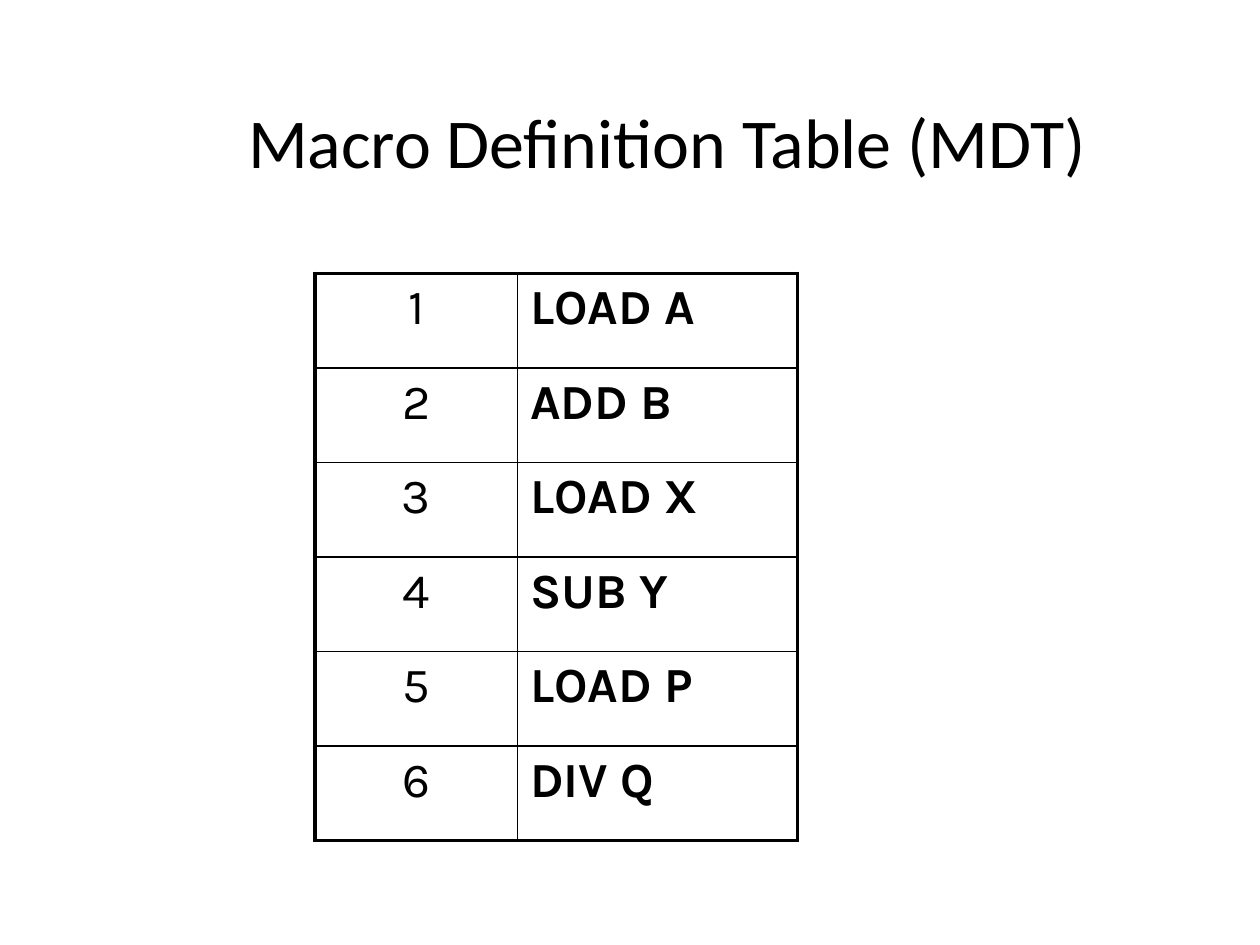
from dataclasses import dataclass

from lxml import etree
from pptx import Presentation
from pptx import util as u
from pptx.dml.color import RGBColor
from pptx.enum import text
from pptx.oxml import ns


@dataclass(frozen=True)
class Theme:
    ink: str = "000000"
    title_font: str = "Calibri"
    table_font: str = "Karla"
    title_size: float = 40
    table_size: float = 28
    space_before: float = 5.6
    outer_line: float = 2.21
    inner_line: float = 0.96


@dataclass(frozen=True)
class Area:
    left: float
    top: float
    width: float
    height: float


THEME = Theme()
SLIDE_WIDTH, SLIDE_HEIGHT = u.Inches(10), u.Inches(7.5)
INSTRUCTIONS = ["LOAD A", "ADD B", "LOAD X", "SUB Y", "LOAD P", "DIV Q"]

# Areas in inches; column widths as shares of the table
TITLE_AREA = Area(1.17, 0.33, 8.25, 1.57)
TABLE_AREA = Area(2.5, 2.17, 3.83, 4.5)
COLUMN_SHARES = (0.42, 0.58)


def place(area: Area) -> tuple:
    return tuple(map(u.Inches, (area.left, area.top, area.width, area.height)))


def style(para, font: str, size: float, align, bold: bool = False) -> None:
    para.alignment = align
    para.font.name = font
    para.font.size = u.Pt(size)
    para.font.bold = bold
    para.font.color.rgb = RGBColor.from_string(THEME.ink)


def add_border(cell, side: str, width: float) -> None:
    props = cell._tc.get_or_add_tcPr()
    line = etree.SubElement(props, ns.qn(f"a:ln{side}"), w=str(u.Pt(width)))
    fill = etree.SubElement(line, ns.qn("a:solidFill"))
    etree.SubElement(fill, ns.qn("a:srgbClr"), val=THEME.ink)


def add_title(page, wording: str) -> None:
    box = page.shapes.add_textbox(*place(TITLE_AREA))
    frame = box.text_frame
    frame.word_wrap = True
    frame.vertical_anchor = text.MSO_ANCHOR.MIDDLE
    para = frame.paragraphs[0]
    para.text = wording
    style(para, THEME.title_font, THEME.title_size, text.PP_ALIGN.CENTER)


def add_definition_table(page, instructions: list[str]) -> None:
    rows, columns = len(instructions), len(COLUMN_SHARES)
    table = page.shapes.add_table(rows, columns, *place(TABLE_AREA)).table
    table.first_row = table.horz_banding = False
    for column, share in zip(table.columns, COLUMN_SHARES):
        column.width = u.Inches(TABLE_AREA.width * share)

    for row, instruction in enumerate(instructions):
        for col, wording in enumerate((str(row + 1), instruction)):
            cell = table.cell(row, col)
            # Heavy lines on the outside, thin lines between cells
            on_edge = {"L": col == 0, "R": col == columns - 1,
                       "T": row == 0, "B": row == rows - 1}
            for side, outer in on_edge.items():
                add_border(cell, side, THEME.outer_line if outer else THEME.inner_line)
            cell.fill.background()

            # Centred number, then bold instruction
            para = cell.text_frame.paragraphs[0]
            para.text = wording
            para.space_before = u.Pt(THEME.space_before)
            align = text.PP_ALIGN.LEFT if col else text.PP_ALIGN.CENTER
            style(para, THEME.table_font, THEME.table_size, align, bold=col > 0)


def main() -> None:
    deck = Presentation()
    deck.slide_width, deck.slide_height = SLIDE_WIDTH, SLIDE_HEIGHT
    page = deck.slides.add_slide(deck.slide_layouts[6])
    add_title(page, "Macro Definition Table (MDT)")
    add_definition_table(page, INSTRUCTIONS)
    deck.save("out.pptx")


if __name__ == "__main__":
    main()
